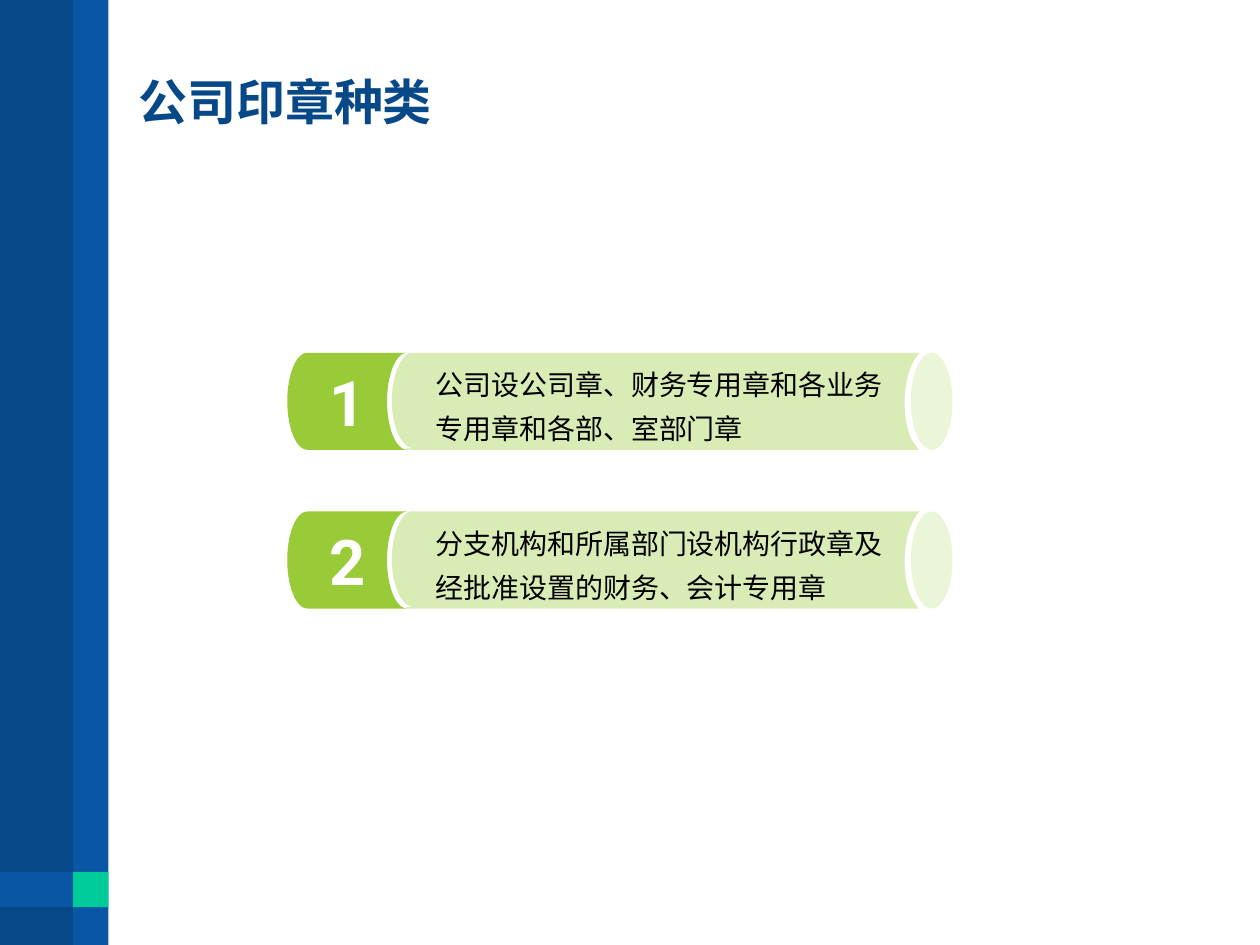
import pptx
import pptx.dml.color
import pptx.enum.shapes
import pptx.enum.text
import pptx.oxml.ns
import pptx.util
from lxml import etree

COLS, ROWS = 100, 75
CELL = pptx.util.Inches(0.1)
SHAPE = pptx.enum.shapes.MSO_SHAPE
ALIGN = pptx.enum.text.PP_ALIGN
CJK = "Noto Sans CJK SC"
COLORS = {
    "navy": "074888", "blue": "0856A4", "mint": "00CC99",
    "green": "99CB38", "band": "D6EAAF", "cap": "EBF5D7",
    "white": "FFFFFF", "black": "000000",
}

TITLE = {
    "font": {"name": "Arial", "size": pptx.util.Pt(28), "bold": True},
    "color": "navy",
    "paragraph": {"line_spacing": pptx.util.Pt(32), "alignment": ALIGN.LEFT},
    "margins": (1, 0.5, 1, 0.5),
}
NUMBER = {
    "font": {"name": "Roboto", "size": pptx.util.Pt(36), "bold": True},
    "color": "white",
    "paragraph": {"alignment": ALIGN.CENTER},
    "margins": (1, 0.5, 1, 0.5),
}
BODY = {
    "font": {"name": CJK, "size": pptx.util.Pt(16), "bold": False},
    "color": "black",
    "paragraph": {"line_spacing": 1.3, "alignment": ALIGN.LEFT},
    "margins": (3.5, 0, 1.6, 0),
}

# Left, top, width, height in grid cells
SIDEBAR = [
    ((0, 0, 8.3, ROWS), "navy"),
    ((5.8, 0, 2.8, ROWS), "blue"),
    ((0, 69.2, 8.3, 2.8), "blue"),
    ((5.8, 69.2, 2.8, 2.8), "mint"),
]
ITEMS = [
    "公司设公司章、财务专用章和各业务专用章和各部、室部门章",
    "分支机构和所属部门设机构行政章及经批准设置的财务、会计专用章",
]
ITEM_TOP, ITEM_STEP, ITEM_HEIGHT = 28, 12.6, 7.7

# Curved ends of a band: start, two control points, end; y from the item's top
RIGHT_CURVES = [
    ((73, 0), (72.3, 0.7), (71.8, 2.2), (71.8, 3.9)),
    ((71.8, 3.9), (71.8, 5.4), (72.1, 6.7), (72.7, 7.4)),
]
LEFT_CURVES = [
    ((32.9, 7.6), (31.9, 7.6), (31.1, 5.9), (31.1, 3.8)),
    ((31.1, 3.8), (31.1, 2), (31.7, 0.4), (32.5, 0)),
]


def cells(*values):
    return [round(v * CELL) for v in values]


def rgb(name):
    return pptx.dml.color.RGBColor.from_string(COLORS[name])


def set_attributes(obj, values):
    for name, value in values.items():
        setattr(obj, name, value)


def paint(sp, color):
    sp.shadow.inherit = False
    sp.fill.solid()
    sp.fill.fore_color.rgb = rgb(color)
    sp.line.fill.background()


def write(sp, text, style):
    tf = sp.text_frame
    left, top, right, bottom = cells(*style["margins"])
    set_attributes(tf, {
        "word_wrap": True,
        "vertical_anchor": pptx.enum.text.MSO_ANCHOR.MIDDLE,
        "margin_left": left, "margin_top": top,
        "margin_right": right, "margin_bottom": bottom,
    })
    p = tf.paragraphs[0]
    set_attributes(p, style["paragraph"])
    r = p.add_run()
    r.text = text
    set_attributes(r.font, style["font"])
    r.font.color.rgb = rgb(style["color"])
    ea = etree.SubElement(r.font._element, pptx.oxml.ns.qn("a:ea"))
    ea.set("typeface", CJK)


def add_shape(s, kind, box, color):
    sp = s.shapes.add_shape(kind, *cells(*box))
    paint(sp, color)
    return sp


def curve_points(curve, steps=10):
    """Return points along a cubic Bezier curve."""
    points = []
    for i in range(steps + 1):
        t = i / steps
        weights = ((1 - t) ** 3, 3 * t * (1 - t) ** 2, 3 * t * t * (1 - t), t ** 3)
        points.append(tuple(sum(w * c for w, c in zip(weights, axis))
                            for axis in zip(*curve)))
    return points


def add_band(s, top, text):
    """Add the translucent band with a concave right and a convex left end."""
    points = [(32.7, 0), (73.1, 0)]
    for curve in RIGHT_CURVES:
        points += curve_points(curve)
    points += [(72.9, ITEM_HEIGHT), (32.4, ITEM_HEIGHT), (32.2, 7.6)]
    for curve in LEFT_CURVES:
        points += curve_points(curve)
    outline = [cells(x, top + y) for x, y in points]
    builder = s.shapes.build_freeform(*outline[0])
    builder.add_line_segments(outline[1:], close=True)
    sp = builder.convert_to_shape()
    paint(sp, "band")
    srgb = sp._element.spPr.find(".//" + pptx.oxml.ns.qn("a:srgbClr"))
    etree.SubElement(srgb, pptx.oxml.ns.qn("a:alpha")).set("val", "90000")
    write(sp, text, BODY)


def add_item(s, number, text):
    top = ITEM_TOP + (number - 1) * ITEM_STEP
    add_band(s, top, text)
    tab = add_shape(s, SHAPE.FLOWCHART_STORED_DATA,
                    (22.8, top, 9.5, ITEM_HEIGHT), "green")
    write(tab, str(number), NUMBER)
    add_shape(s, SHAPE.OVAL, (72.3, top, 3.3, ITEM_HEIGHT), "cap")


def main():
    prs = pptx.Presentation()
    prs.slide_width, prs.slide_height = cells(COLS, ROWS)
    s = prs.slides.add_slide(prs.slide_layouts[6])
    for box, color in SIDEBAR:
        add_shape(s, SHAPE.RECTANGLE, box, color)
    title = s.shapes.add_textbox(*cells(10, 0.9, 86.3, 14.5))
    write(title, "公司印章种类", TITLE)
    for number, text in enumerate(ITEMS, 1):
        add_item(s, number, text)
    prs.save("out.pptx")


if __name__ == "__main__":
    main()
